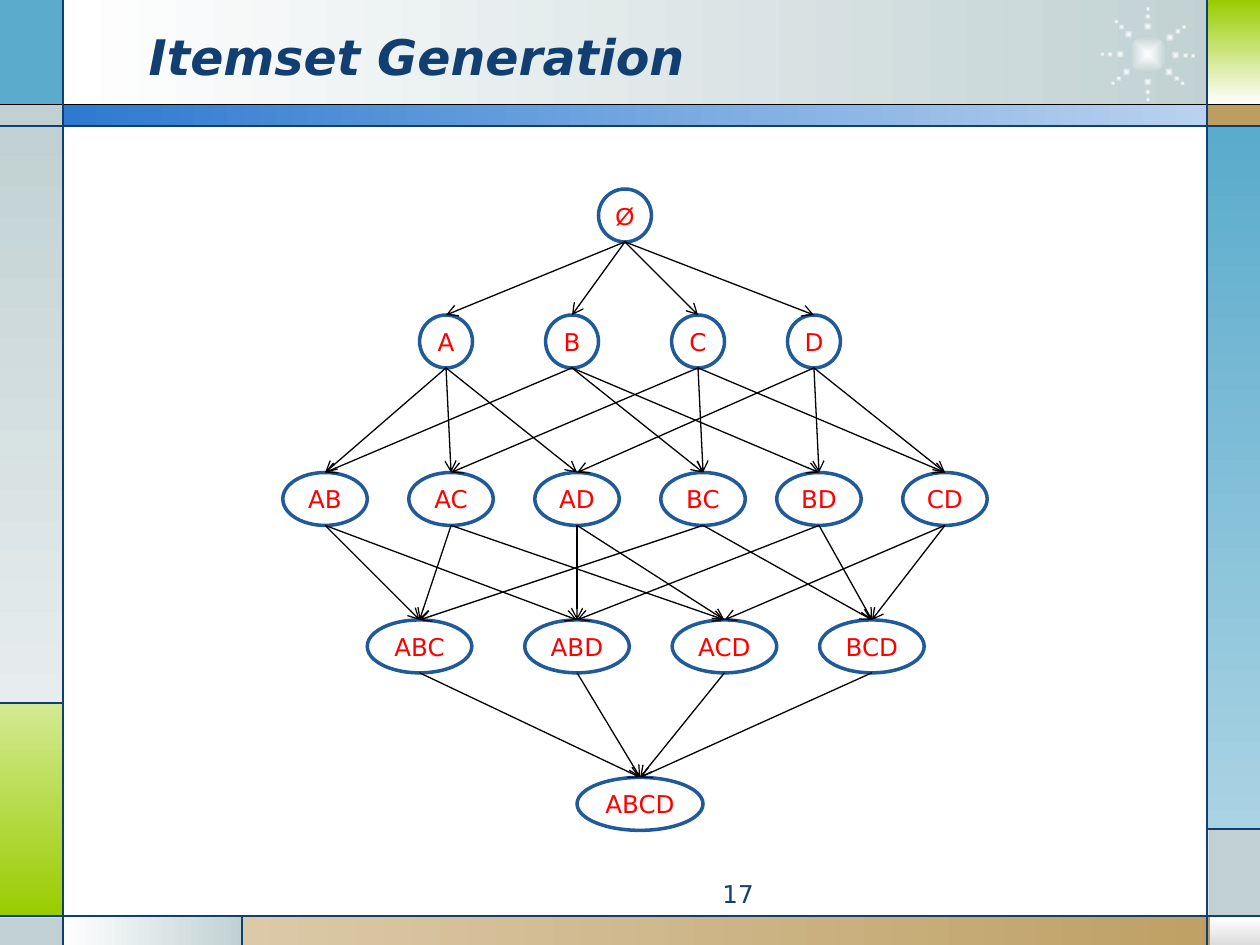
"""Builds the itemset generation slide: a lattice of all subsets of {A, B, C, D}."""
from math import cos, radians, sin

from lxml import etree
from pptx import Presentation
from pptx.dml.color import RGBColor
from pptx.enum import shapes, text
from pptx.oxml import parse_xml
from pptx.oxml.ns import nsdecls, qn
from pptx.util import Inches, Pt

rgb = RGBColor.from_string
prs = Presentation()
prs.slide_width, prs.slide_height = Inches(10), Inches(7.5)
s = prs.slides.add_slide(prs.slide_layouts[5])


def add_shape(kind, x, y, w, h, colors=(), angle=0):
    sp = s.shapes.add_shape(kind, Inches(x), Inches(y), Inches(w), Inches(h))
    sp.shadow.inherit = False
    if not colors:
        sp.fill.background()
    elif len(colors) == 1:
        sp.fill.solid()
        sp.fill.fore_color.rgb = rgb(colors[0])
    else:
        sp.fill.gradient()
        sp.fill.gradient_angle = -angle % 360
        for stop, color in zip(sp.fill.gradient_stops, colors):
            stop.color.rgb = rgb(color)
    sp.line.fill.background()
    return sp


def add_line(x1, y1, x2, y2, color, arrow=False):
    ln = s.shapes.add_connector(shapes.MSO_CONNECTOR.STRAIGHT,
                                Inches(x1), Inches(y1), Inches(x2), Inches(y2))
    ln.line.color.rgb = rgb(color)
    ln.line.width = Pt(0.75)
    if arrow:
        etree.SubElement(ln.line._get_or_add_ln(), qn("a:tailEnd"), type="arrow")
    etree.SubElement(ln._element.spPr, qn("a:effectLst"))


RECT, OVAL = shapes.MSO_SHAPE.RECTANGLE, shapes.MSO_SHAPE.OVAL
NAVY, GREY, BLUE, TAN, GREEN = "113F71", "C1D1D3", "5AABCC", "BD9E61", "99CC00"

frame = [
    (0.5, 0, 9.27, 0.84, ("FFFFFF", GREY), 0),
    (0, 0, 0.5, 0.84, (BLUE,), 0),
    (0, 0.83, 0.5, 0.17, (GREY,), 0),
    (0, 1, 0.5, 4.58, (GREY, "E7EDEE"), 90),
    (0, 5.58, 0.5, 1.69, ("D3EA92", GREEN), 90),
    (0, 7.28, 0.5, 0.22, (GREY,), 0),
    (0.5, 7.27, 1.43, 0.23, ("FFFFFF", GREY), 0),
    (1.92, 7.27, 8.08, 0.23, ("DBC9A8", TAN), 0),
    (9.6, 7.28, 0.4, 0.22, ("FFFFFF", "DDDDDD"), 90),
    (9.59, 6.58, 0.41, 0.7, (GREY,), 0),
    (9.58, 1, 0.42, 5.58, (BLUE, "AAD3E4"), 90),
    (9.58, 0.83, 0.42, 0.17, (TAN,), 0),
    (9.59, 0, 0.41, 0.83, (GREEN, "FFFFFF"), 90),
    (0.5, 0.83, 9.09, 0.17, ("2D7ACF", "B9D2EF"), 0),
]
for x, y, w, h, colors, angle in frame:
    add_shape(RECT, x, y, w, h, colors, angle)

dots = [(0, 0, 0.3)]
for ray in (2, 40, 90, 140, 180, 226, 270, 323):
    dots += [(ray, 0.22, 0.07), (ray, 0.3, 0.05), (ray, 0.36, 0.04)]
for ray, radius, size in dots:
    x = 9.11 + radius * cos(radians(ray)) - size / 2
    y = 0.43 + radius * sin(radians(ray)) - size / 2
    sp = add_shape(OVAL, x, y, size, size, ("FFFFFF", GREY))
    lin = next(sp._element.iter(qn("a:lin")))
    lin.getparent().replace(lin, parse_xml(
        f'<a:path {nsdecls("a")} path="shape">'
        '<a:fillToRect l="50000" t="50000" r="50000" b="50000"/></a:path>'))

add_line(0, 0.83, 10, 0.83, "000000")
for x1, y1, x2, y2 in [(0, 1, 10, 1), (0, 7.27, 10, 7.27), (0.5, 0, 0.5, 7.5),
                       (9.58, 0, 9.58, 7.5), (0, 5.58, 0.5, 5.58),
                       (1.92, 7.27, 1.92, 7.5), (9.58, 6.58, 10, 6.58)]:
    add_line(x1, y1, x2, y2, NAVY)

title = s.shapes.title
s.shapes._spTree.append(title._element)
title.left, title.top, title.width, title.height = map(Inches, (1.08, 0.13, 7.33, 0.62))
number = s.shapes.add_textbox(Inches(3.75), Inches(6.93), Inches(2.33), Inches(0.27))
for sp, words, size, align in [(title, "Itemset Generation", 28, text.PP_ALIGN.LEFT),
                               (number, "17", 14, text.PP_ALIGN.RIGHT)]:
    tf = sp.text_frame
    tf.text = words
    tf.word_wrap = True
    p = tf.paragraphs[0]
    p.alignment = align
    f = p.runs[0].font
    f.name, f.size, f.color.rgb = "DejaVu Sans", Pt(size), rgb(NAVY)
    f.bold = f.italic = sp is title
title.text_frame.vertical_anchor = text.MSO_ANCHOR.MIDDLE

NODE_H = 0.42
levels = [
    (1.5, 0.42, {"Ø": 4.96}),
    (2.5, 0.42, {"A": 3.54, "B": 4.54, "C": 5.54, "D": 6.46}),
    (3.75, 0.67, {"AB": 2.58, "AC": 3.58, "AD": 4.58, "BC": 5.58, "BD": 6.5, "CD": 7.5}),
    (4.92, 0.83, {"ABC": 3.33, "ABD": 4.58, "ACD": 5.75, "BCD": 6.92}),
    (6.17, 1, {"ABCD": 5.08}),
]
for top, width, nodes in levels:
    for name, center in nodes.items():
        sp = add_shape(OVAL, center - width / 2, top, width, NODE_H)
        sp.line.color.rgb = rgb("215A99")
        sp.line.width = Pt(2)
        tf = sp.text_frame
        tf.text = name
        tf.word_wrap = False
        tf.margin_left = tf.margin_right = Inches(0.04)
        tf.vertical_anchor = text.MSO_ANCHOR.MIDDLE
        p = tf.paragraphs[0]
        p.alignment = text.PP_ALIGN.CENTER
        f = p.runs[0].font
        f.name = "Arial" if name == "Ø" else "DejaVu Sans"
        f.size, f.color.rgb = Pt(14), rgb("FF0000")

for (top, _, parents), (next_top, _, children) in zip(levels, levels[1:]):
    for child, x2 in children.items():
        for parent, x1 in parents.items():
            if set(parent) - {"Ø"} <= set(child):
                add_line(x1, top + NODE_H, x2, next_top, "000000", arrow=True)

prs.save("out.pptx")
